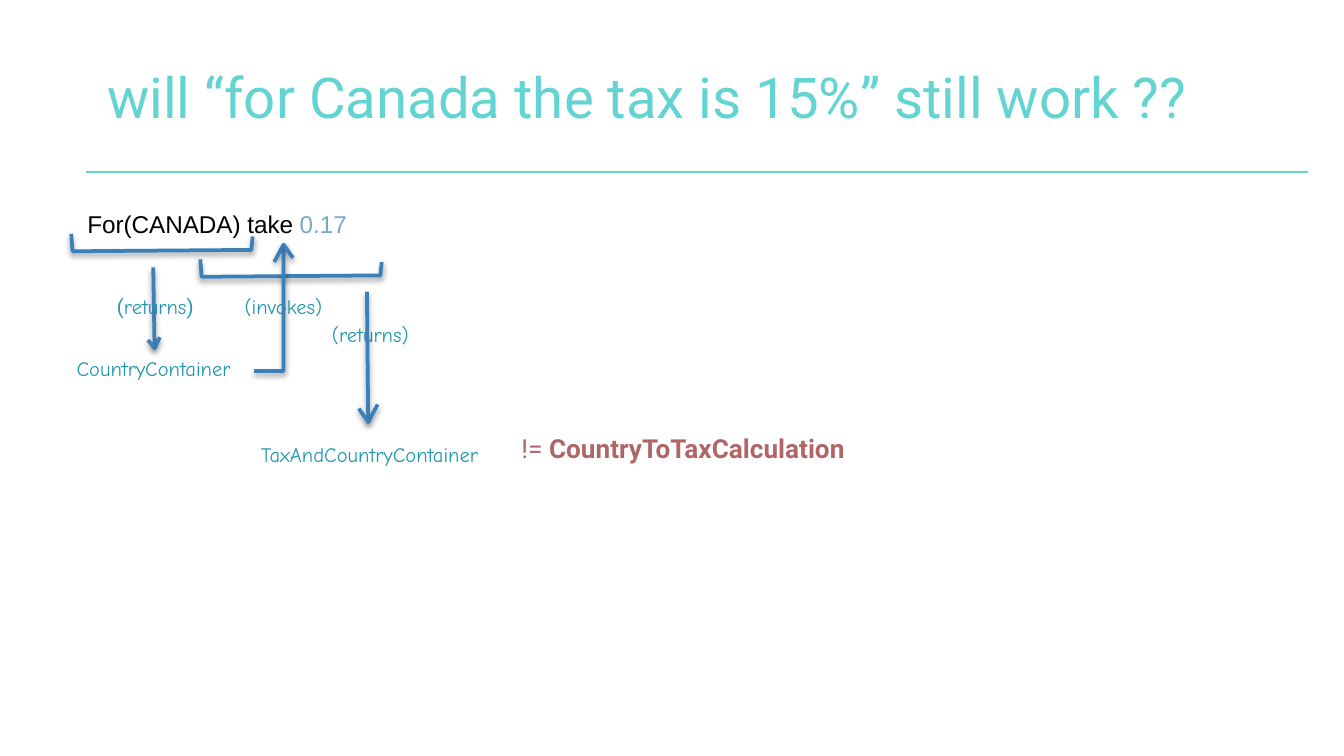
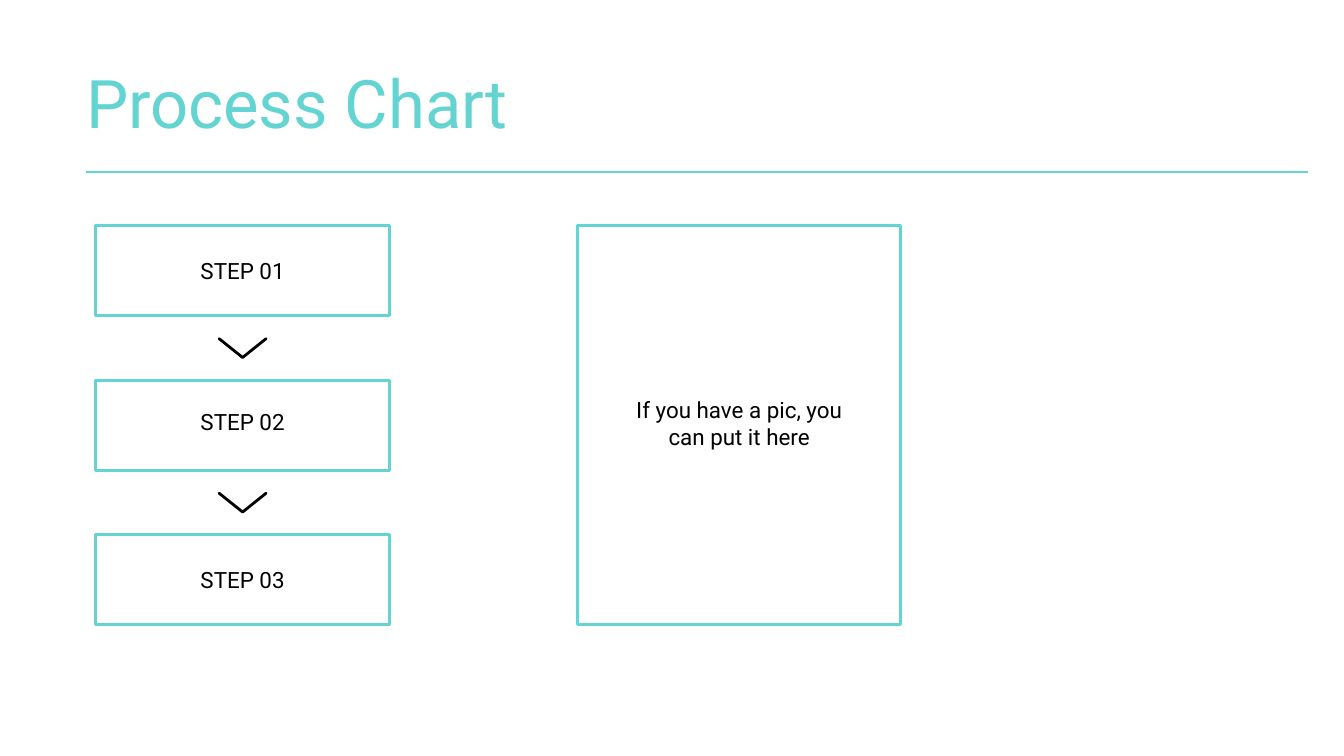
import pptx
import pptx.util
import pptx.oxml
import pptx.oxml.ns
import pptx.dml.color
import pptx.enum.shapes
import pptx.enum.text

RGBColor = pptx.dml.color.RGBColor
Inches = pptx.util.Inches
Pt = pptx.util.Pt
PP_ALIGN = pptx.enum.text.PP_ALIGN
MSO_ANCHOR = pptx.enum.text.MSO_ANCHOR
MSO_AUTO_SIZE = pptx.enum.text.MSO_AUTO_SIZE
MSO_SHAPE = pptx.enum.shapes.MSO_SHAPE
STRAIGHT = pptx.enum.shapes.MSO_CONNECTOR.STRAIGHT

TURQUOISE = RGBColor(0x64, 0xD4, 0xD2)
BLACK = RGBColor(0, 0, 0)
GREY = RGBColor(0xCC, 0xCC, 0xCC)
NUMBER_BLUE = RGBColor(0x7A, 0xA8, 0xC7)
INK_BLUE = RGBColor(0x3A, 0x81, 0xBA)
NOTE_TEAL = RGBColor(0x22, 0x97, 0xB0)
WARNING_RED = RGBColor(0xB0, 0x66, 0x67)

SLIDE_W = 10
SLIDE_H = SLIDE_W * 9 / 16
TITLE_AT = (0.54, 0.36, 8.56, 0.85)
RULE = ((0.64, 1.28), (9.73, 1.28))

CODE = {"name": "Arial", "size": Pt(13)}
NOTE = {"name": "Comic Neue", "size": Pt(11)}
NOTE_PLAIN = {"name": "Roboto", "size": Pt(11)}
WARNING = {"name": "Roboto", "size": Pt(14)}
STEP = {"name": "Roboto", "size": Pt(12)}

QUESTION = "will “for Canada the tax is 15%” still work ??"
EXPRESSION = [
    ((0.6, 1.51, 2.6, 0.6), False,
     [("For(CANADA) take ", CODE, BLACK), ("0.17", CODE, NUMBER_BLUE)]),
    ((0.52, 2.6, 1.35, 0.29), False, [("CountryContainer", NOTE, NOTE_TEAL)]),
    ((1.77, 2.14, 0.74, 0.29), False, [("(invokes)", NOTE, NOTE_TEAL)]),
    ((0.82, 2.14, 0.72, 0.29), False,
     [("(", NOTE_PLAIN, NOTE_TEAL), ("returns", NOTE, NOTE_TEAL),
      (")", NOTE_PLAIN, NOTE_TEAL)]),
    ((2.42, 2.35, 0.76, 0.29), False, [("(returns)", NOTE, NOTE_TEAL)]),
    ((1.89, 3.24, 1.91, 0.29), True,
     [("TaxAndCountryContainer", NOTE, NOTE_TEAL)]),
    ((3.83, 3.17, 2.7, 0.33), True,
     [("!= ", WARNING, WARNING_RED),
      ("CountryToTaxCalculation", {**WARNING, "bold": True}, WARNING_RED)]),
]
BRACKET = [(0, 0), (0.01, 0.13), (1.34, 0.12), (1.35, 0.02)]
BRACKET_STARTS = [(0.53, 1.74), (1.49, 1.93)]
ARROWS = [
    ([(1.89, 2.76), (2.11, 2.76), (2.11, 1.82), (2.04, 1.95)], (2.18, 1.92)),
    ([(1.14, 1.99), (1.15, 2.59), (1.19, 2.51)], (1.1, 2.53)),
    ([(2.73, 2.17), (2.74, 3.14), (2.81, 3.01)], (2.67, 3.04)),
]

PROCESS = "Process Chart"
STEPS = [("STEP 01", 0), ("STEP 02", 0.03), ("STEP 03", 0)]
PICTURE_HINT, HINT_LIFT = "If you have a pic, you can put it here", 0.02
STEP_LEFT, STEP_TOP, STEP_W, STEP_H, STEP_PITCH = 0.71, 1.68, 2.19, 0.67, 1.15
FRAME_LEFT, FRAME_W = 4.3, 2.4
LABEL_W, LABEL_H, HINT_H = 1.92, 0.39, 0.58
CHEVRON_W, CHEVRON_H = 0.14, 0.35

SHADOW = (
    '<a:outerShdw %s blurRad="38100" dist="20320" dir="5400000" rotWithShape="0">'
    '<a:srgbClr val="000000"><a:alpha val="38000"/></a:srgbClr></a:outerShdw>'
    % pptx.oxml.ns.nsdecls("a")
)


def apply(target, values):
    for attribute, value in values.items():
        setattr(target, attribute, value)


def inches(values):
    return [Inches(value) for value in values]


def centred(x, y, width, height):
    return x - width / 2, y - height / 2, width, height


def write(frame, runs, inset, align=PP_ALIGN.LEFT, **frame_format):
    sides = ("margin_left", "margin_top", "margin_right", "margin_bottom")
    apply(frame, {**dict.fromkeys(sides, Inches(inset)), **frame_format})
    paragraph = frame.paragraphs[0]
    paragraph.alignment = align
    for text, font, colour in runs:
        run = paragraph.add_run()
        run.text = text
        apply(run.font, font)
        run.font.color.rgb = colour


def add_text(slide, at, runs, inset, **formats):
    box = slide.shapes.add_textbox(*inches(at))
    write(box.text_frame, runs, inset,
          auto_size=MSO_AUTO_SIZE.SHAPE_TO_FIT_TEXT, **formats)


def outline(part, colour, width):
    part.line.color.rgb = colour
    part.line.width = Pt(width)


def add_line(slide, start, end, colour, width):
    line = slide.shapes.add_connector(STRAIGHT, *inches(start + end))
    outline(line, colour, width)
    effects = pptx.oxml.parse_xml(
        "<a:effectLst %s/>" % pptx.oxml.ns.nsdecls("a"))
    line.element.spPr.append(effects)
    return line


def add_shape(slide, kind, at, colour, fill=None):
    shape = slide.shapes.add_shape(kind, *inches(at))
    shape.shadow.inherit = False
    outline(shape, colour, 1.5)
    if fill is None:
        shape.fill.background()
    else:
        shape.fill.solid()
        shape.fill.fore_color.rgb = fill
    return shape


def cast_shadow(part):
    effects = part.element.spPr.find(pptx.oxml.ns.qn("a:effectLst"))
    effects.append(pptx.oxml.parse_xml(SHADOW))


def add_stroke(slide, points):
    start, *rest = [inches(point) for point in points]
    builder = slide.shapes.build_freeform(*start)
    builder.add_line_segments(rest, close=False)
    stroke = builder.convert_to_shape()
    stroke.shadow.inherit = False
    stroke.fill.background()
    outline(stroke, INK_BLUE, 2)
    cast_shadow(stroke)


def add_slide(deck, heading, size, align):
    slide = deck.slides.add_slide(deck.slide_layouts[5])
    title = slide.shapes.title
    apply(title, dict(zip(("left", "top", "width", "height"), inches(TITLE_AT))))
    write(title.text_frame,
          [(heading, {"name": "Roboto", "size": Pt(size)}, TURQUOISE)],
          0.1, align, vertical_anchor=MSO_ANCHOR.TOP, word_wrap=True,
          auto_size=MSO_AUTO_SIZE.NONE)
    add_line(slide, *RULE, TURQUOISE, 0.75)
    return slide


def build_question(deck):
    slide = add_slide(deck, QUESTION, 30.2, PP_ALIGN.CENTER)
    for at, wrap, runs in EXPRESSION:
        add_text(slide, at, runs, 0.05, word_wrap=wrap)
    for left, top in BRACKET_STARTS:
        add_stroke(slide, [(left + x, top + y) for x, y in BRACKET])
    for shaft, barb in ARROWS:
        add_stroke(slide, shaft)
        cast_shadow(add_line(slide, shaft[-2], barb, INK_BLUE, 2))


def add_label(slide, text, x, y, height):
    add_text(slide, centred(x, y, LABEL_W, height), [(text, STEP, BLACK)], 0.1,
             align=PP_ALIGN.CENTER, vertical_anchor=MSO_ANCHOR.MIDDLE,
             word_wrap=True)


def build_process(deck):
    slide = add_slide(deck, PROCESS, 35.9, PP_ALIGN.LEFT)
    middle = STEP_LEFT + STEP_W / 2
    for index, (step, lift) in enumerate(STEPS):
        top = STEP_TOP + index * STEP_PITCH
        add_shape(slide, MSO_SHAPE.RECTANGLE,
                  (STEP_LEFT, top, STEP_W, STEP_H), TURQUOISE)
        add_label(slide, step, middle, top + STEP_H / 2 - lift, LABEL_H)
        if index:
            gap_middle = top - (STEP_PITCH - STEP_H) / 2
            chevron = add_shape(
                slide, MSO_SHAPE.CHEVRON,
                centred(middle, gap_middle, CHEVRON_W, CHEVRON_H), BLACK, GREY)
            chevron.adjustments[0] = 1
            chevron.rotation = 90
    frame_h = (len(STEPS) - 1) * STEP_PITCH + STEP_H
    add_shape(slide, MSO_SHAPE.RECTANGLE,
              (FRAME_LEFT, STEP_TOP, FRAME_W, frame_h), TURQUOISE)
    add_label(slide, PICTURE_HINT, FRAME_LEFT + FRAME_W / 2,
              STEP_TOP + frame_h / 2 - HINT_LIFT, HINT_H)


def main():
    deck = pptx.Presentation()
    apply(deck, {"slide_width": Inches(SLIDE_W), "slide_height": Inches(SLIDE_H)})
    build_question(deck)
    build_process(deck)
    deck.save("out.pptx")


if __name__ == "__main__":
    main()
